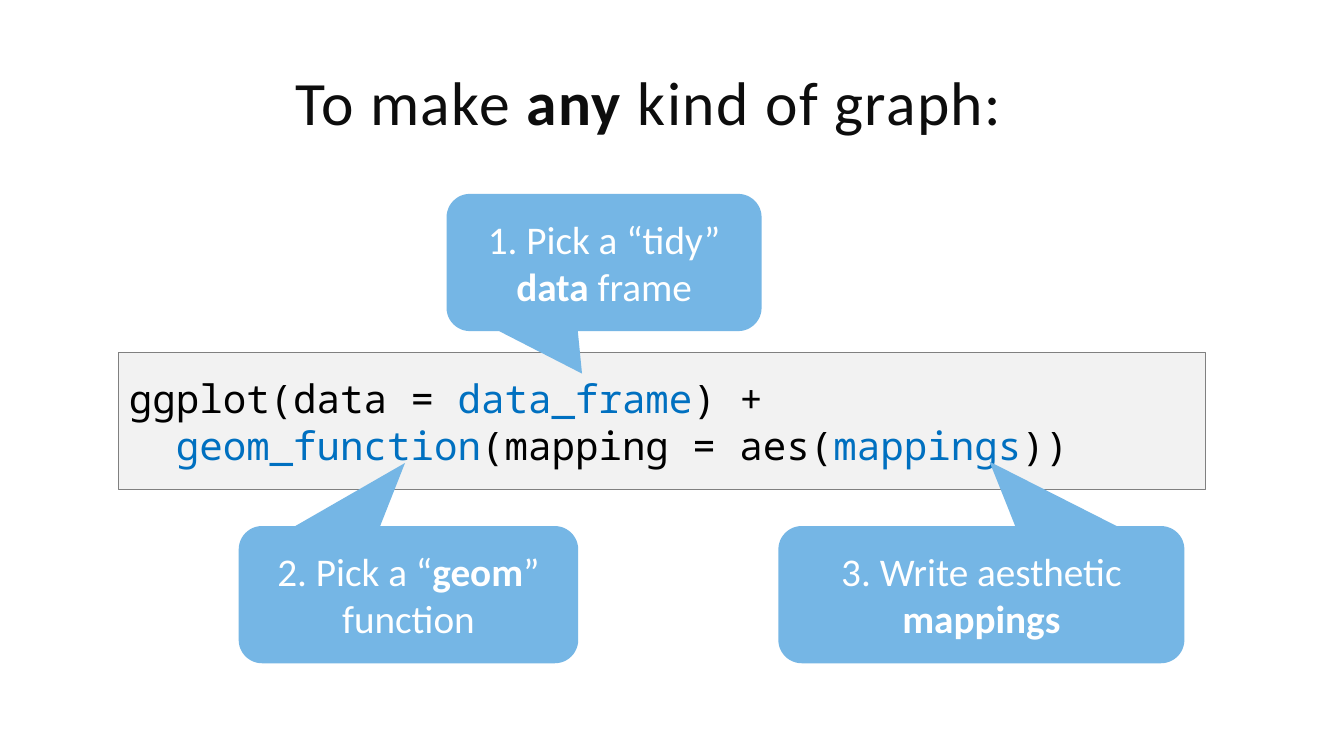
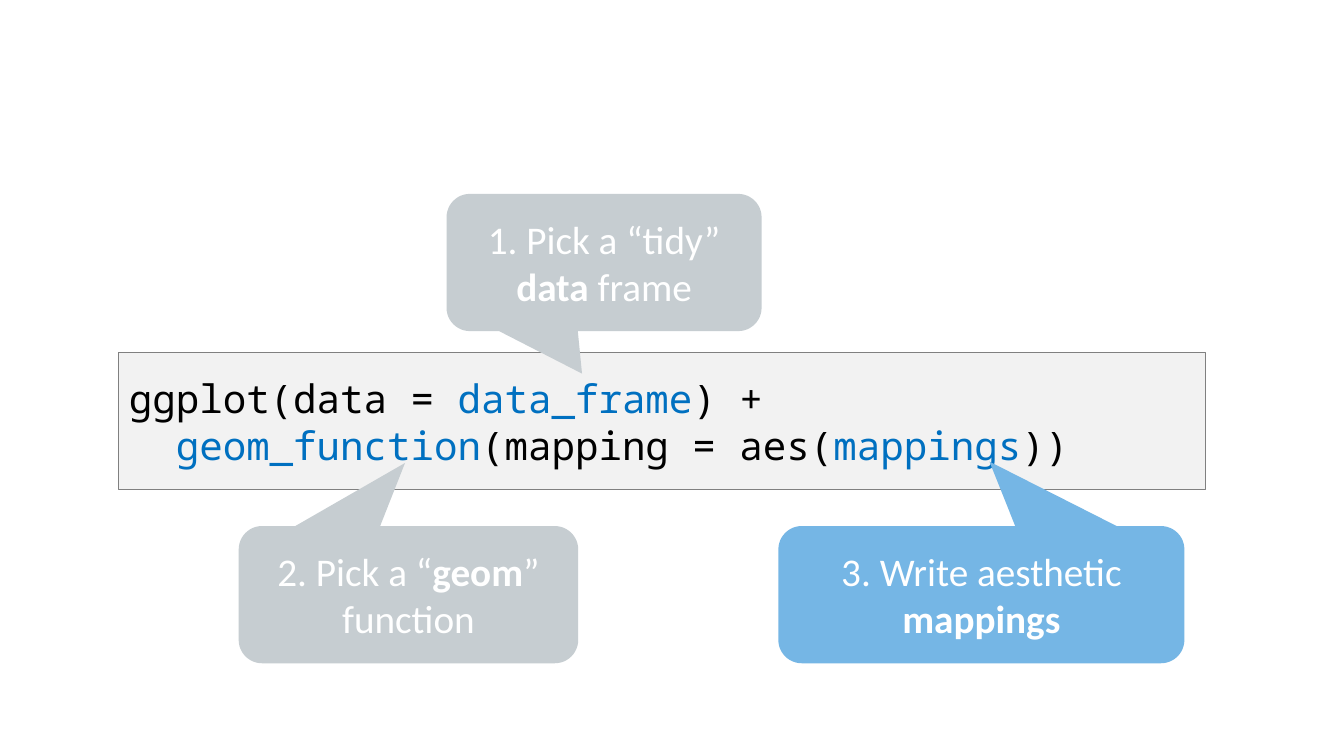
from pptx import Presentation
from pptx.dml.color import RGBColor
from pptx.enum.shapes import MSO_SHAPE as SHAPE
from pptx.enum.text import MSO_ANCHOR as ANCHOR, PP_ALIGN as ALIGN
from pptx.util import Pt

COLORS = {
    "title": "0D0D0D", "code": "000000", "blank": "0070C0",
    "panel": "F2F2F2", "border": "808080",
    "active": "75B6E5", "muted": "C6CDD1", "callout_text": "FFFFFF",
}
TEXT_FONT, CODE_FONT = "Calibri", "Noto Sans Mono"

# A paragraph is a list of (text, style) runs; a style is "", "bold" or "blank".
TITLE = [[("To make ", ""), ("any", "bold"), (" kind of graph:", "")]]
CODE = [
    [("ggplot(data = ", ""), ("data_frame", "blank"), (") +", "")],
    [("  geom_function", "blank"), ("(mapping = aes(", ""),
     ("mappings", "blank"), ("))", "")],
]
UPPER, LOWER, CALLOUT_HEIGHT = 138.5, 375.75, 98
CALLOUTS = [
    {"left": 319, "top": UPPER, "width": 225, "tip": (-0.07, 0.81),
     "text": [[("1. Pick a “tidy”", "")], [("data", "bold"), (" frame", "")]]},
    {"left": 170.5, "top": LOWER, "width": 242.5, "tip": (-0.01, -0.96),
     "text": [[("2. Pick a “", ""), ("geom", "bold"), ("” function", "")]]},
    {"left": 556, "top": LOWER, "width": 290, "tip": (0.02, -0.97),
     "text": [[("3. Write aesthetic ", ""), ("mappings", "bold")]]},
]
# For each slide: its title, if any, and the indexes of the highlighted callouts.
SLIDES = [(TITLE, {0, 1, 2}), (None, {2})]


def rgb(name):
    return RGBColor.from_string(COLORS[name])


def write(shape, paragraphs, *, color, font=TEXT_FONT, size=28,
          align=ALIGN.CENTER, line_spacing=None, tracking=None, margin=7.2):
    frame = shape.text_frame
    frame.word_wrap = True
    frame.vertical_anchor = ANCHOR.MIDDLE
    frame.margin_left = frame.margin_right = Pt(margin)
    for index, runs in enumerate(paragraphs):
        paragraph = frame.add_paragraph() if index else frame.paragraphs[0]
        paragraph.alignment = align
        paragraph.line_spacing = line_spacing
        for text, style in runs:
            run = paragraph.add_run()
            run.text = text
            run.font.name, run.font.size = font, Pt(size)
            run.font.bold = style == "bold"
            run.font.color.rgb = rgb("blank" if style == "blank" else color)
            if tracking:
                run.font._element.set("spc", str(tracking * 100))


def add_filled_shape(slide, kind, box, fill, border=None):
    shape = slide.shapes.add_shape(kind, *map(Pt, box))
    shape.shadow.inherit = False
    shape.fill.solid()
    shape.fill.fore_color.rgb = rgb(fill)
    if border:
        shape.line.color.rgb = rgb(border)
        shape.line.width = Pt(0.75)
    else:
        shape.line.fill.background()
    return shape


def add_title(slide, title):
    box = slide.shapes.add_textbox(Pt(80.5), Pt(46), Pt(765.5), Pt(62.5))
    write(box, title, color="title", size=44, line_spacing=0.8, tracking=1)


def add_code(slide):
    panel = add_filled_shape(slide, SHAPE.RECTANGLE, (85, 252, 776, 98),
                             "panel", "border")
    write(panel, CODE, color="code", font=CODE_FONT, align=ALIGN.LEFT,
          line_spacing=Pt(33.6))


def add_callout(slide, callout, fill):
    box = (callout["left"], callout["top"], callout["width"], CALLOUT_HEIGHT)
    shape = add_filled_shape(slide, SHAPE.ROUNDED_RECTANGULAR_CALLOUT, box, fill)
    for index, value in enumerate((*callout["tip"], 0.17)):
        shape.adjustments[index] = value
    write(shape, callout["text"], color="callout_text", margin=2.5)


def main():
    presentation = Presentation()
    presentation.slide_width, presentation.slide_height = Pt(960), Pt(540)
    for title, highlighted in SLIDES:
        slide = presentation.slides.add_slide(presentation.slide_layouts[6])
        if title:
            add_title(slide, title)
        add_code(slide)
        for index, callout in enumerate(CALLOUTS):
            add_callout(slide, callout,
                        "active" if index in highlighted else "muted")
    presentation.save("out.pptx")


if __name__ == "__main__":
    main()
